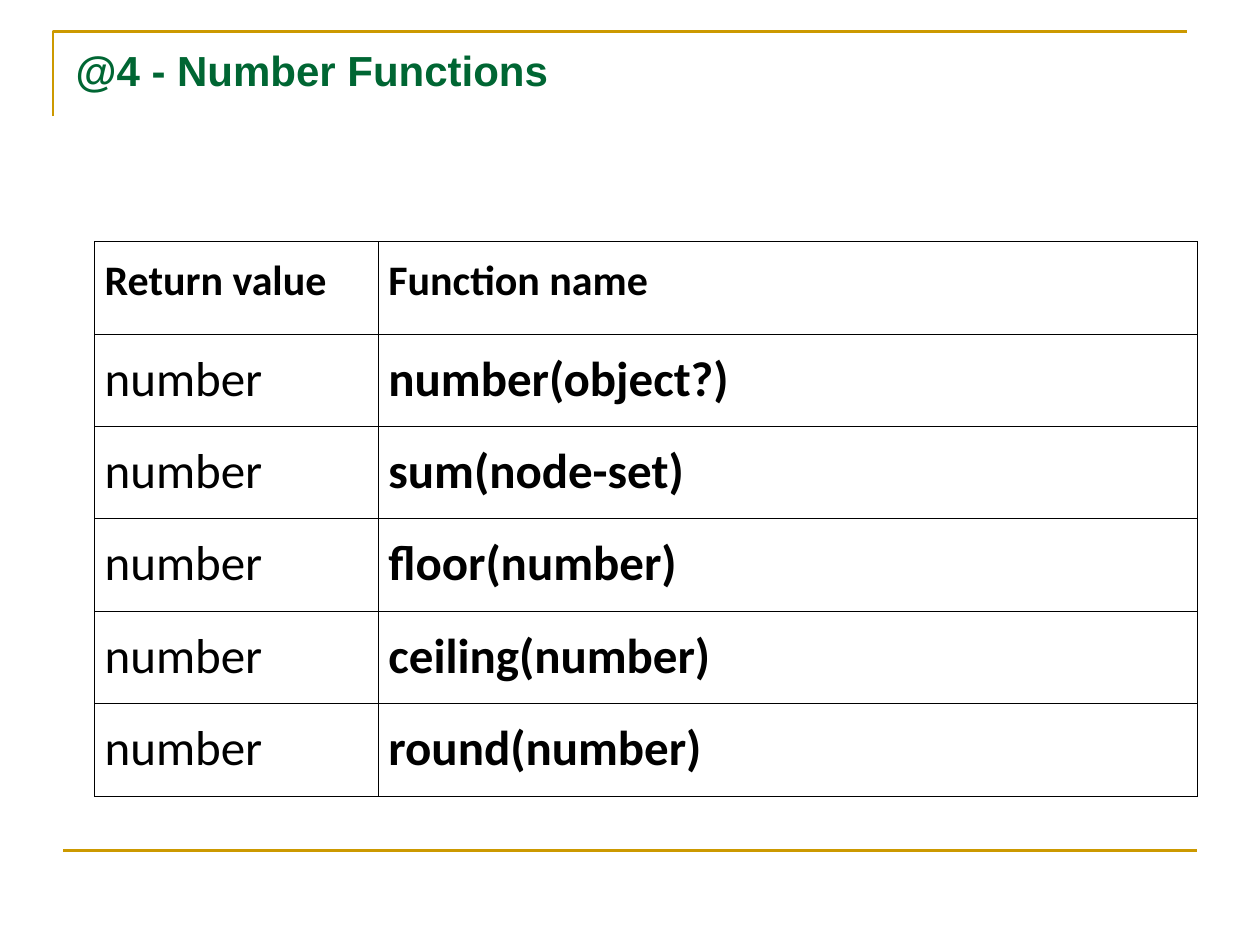
from lxml import etree
from pptx import Presentation
from pptx.dml.color import RGBColor
from pptx.enum import shapes, text
from pptx.oxml import ns
from pptx.util import Cm, Pt

HUES = {"gold": "CC9900", "green": "006633", "black": "000000"}
ROWS = [
    ("Return value", "Function name"),
    ("number", "number(object?)"),
    ("number", "sum(node-set)"),
    ("number", "floor(number)"),
    ("number", "ceiling(number)"),
    ("number", "round(number)"),
]


def style(font, hue, **form):
    for key, val in form.items():
        setattr(font, key, val)
    font.color.rgb = RGBColor.from_string(HUES[hue])


def border(cell):
    props = cell._tc.get_or_add_tcPr()
    for side in ("a:lnL", "a:lnR", "a:lnT", "a:lnB"):
        line = etree.SubElement(props, ns.qn(side), w=str(Pt(0.45)))
        fill = etree.SubElement(line, ns.qn("a:solidFill"))
        etree.SubElement(fill, ns.qn("a:srgbClr"), val=HUES["black"])


deck = Presentation()
deck.slide_width, deck.slide_height = Cm(25.4), Cm(19.05)
slide = deck.slides.add_slide(deck.slide_layouts[5])

# Gold frame: corner at the top, rule at the bottom
pen = slide.shapes.build_freeform(Cm(1.07), Cm(2.34))
pen.add_line_segments([(Cm(1.07), Cm(0.64)), (Cm(23.93), Cm(0.64))], close=False)
frame = pen.convert_to_shape()
frame.shadow.inherit = False
frame.fill.background()
rule = slide.shapes.add_connector(
    shapes.MSO_CONNECTOR.STRAIGHT, Cm(1.27), Cm(17.15), Cm(24.13), Cm(17.15))
etree.SubElement(rule._element.spPr, ns.qn("a:effectLst"))
for item in (frame, rule):
    item.line.color.rgb = RGBColor.from_string(HUES["gold"])
    item.line.width = Pt(1.5)

# Title
title = slide.shapes.title
place = {"left": Cm(1.27), "top": Cm(0.76), "width": Cm(22.86), "height": Cm(3.18)}
for key, val in place.items():
    setattr(title, key, val)
title.text_frame.text = "@4 - Number Functions"
title.text_frame.vertical_anchor = text.MSO_ANCHOR.TOP
head = title.text_frame.paragraphs[0]
head.alignment = text.PP_ALIGN.LEFT
style(head.runs[0].font, "green", name="Arial", size=Pt(24), bold=True)

# Function table
table = slide.shapes.add_table(
    len(ROWS), 2, Cm(1.91), Cm(4.87), Cm(22.23), Cm(11.18)).table
table.horz_banding = table.first_row = False
for col, width in zip(table.columns, (5.72, 16.51)):
    col.width = Cm(width)
inset = {"margin_left": Cm(0.2), "margin_right": Cm(0.2),
         "margin_top": Cm(0.13), "margin_bottom": Cm(0.13)}
for r, row in enumerate(ROWS):
    for c, word in enumerate(row):
        cell = table.cell(r, c)
        for key, val in inset.items():
            setattr(cell, key, val)
        border(cell)
        cell.fill.background()
        cell.text = word
        para = cell.text_frame.paragraphs[0]
        para.line_spacing = 1.15
        style(para.runs[0].font, "black", name="Calibri",
              size=Pt(28 if r else 24), bold=r == 0 or c == 1)

deck.save("out.pptx")
